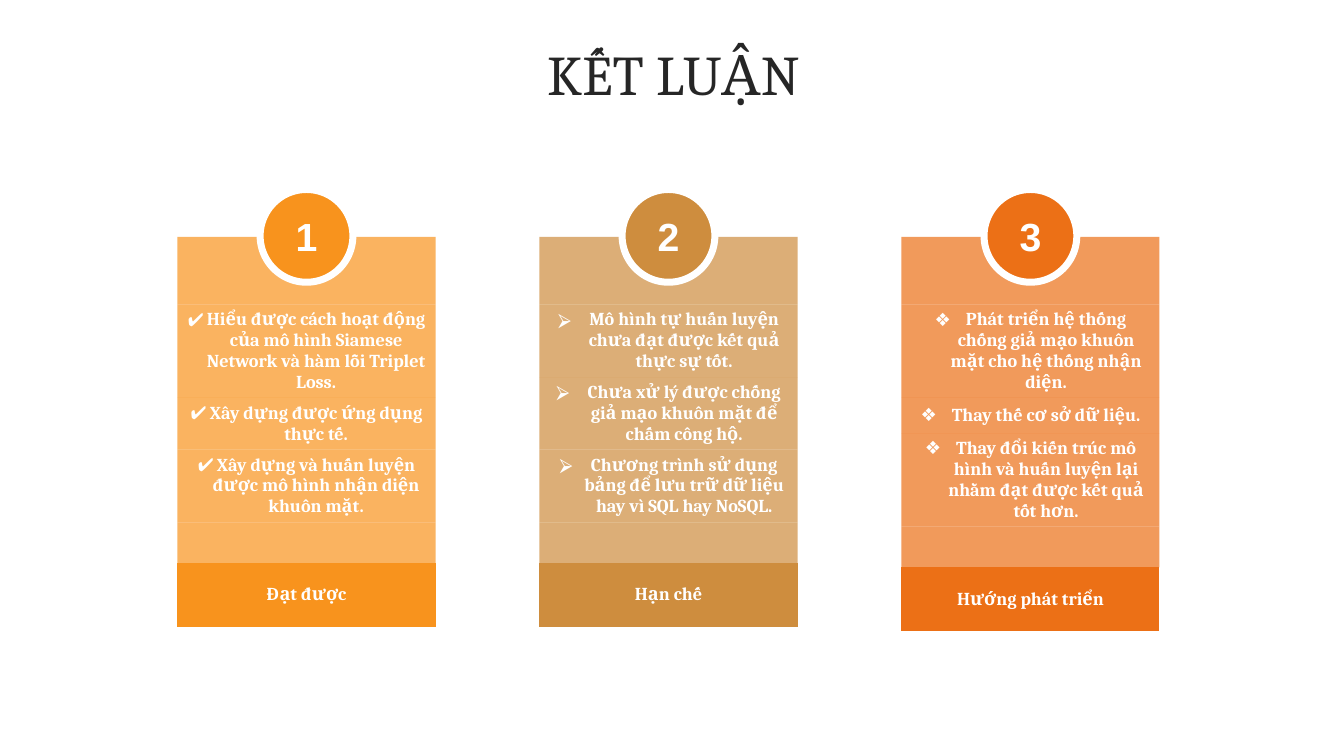
from dataclasses import dataclass

from lxml.etree import SubElement
from pptx import Presentation
from pptx.dml.color import RGBColor
from pptx.enum.shapes import MSO_SHAPE
from pptx.enum.text import MSO_ANCHOR, MSO_AUTO_SIZE, PP_ALIGN
from pptx.oxml.ns import qn
from pptx.util import Inches, Pt


@dataclass(frozen=True)
class Theme:
    """Colours, fonts and type sizes of the slide."""
    white: str = "FFFFFF"
    ink: str = "262626"
    amber: str = "F8931D"
    bronze: str = "CE8D3E"
    orange: str = "EC7016"
    serif: str = "Cambria"
    sans: str = "Arial"
    title_size: int = 40
    number_size: int = 28
    body_size: int = 13
    panel_opacity: int = 70
    no_grid_style: str = "{2D5ABB26-0587-4C30-8999-92F81FD0307C}"


THEME = Theme()

CONCLUSIONS = [
    ("Đạt được", THEME.amber, "✔", 0.19, [
        "Hiểu được cách hoạt động của mô hình Siamese Network và hàm lỗi Triplet Loss.",
        "Xây dựng được ứng dụng thực tế.",
        "Xây dựng và huấn luyện được mô hình nhận diện khuôn mặt.",
    ]),
    ("Hạn chế", THEME.bronze, "⮚", 0.31, [
        "Mô hình tự huấn luyện chưa đạt được kết quả thực sự tốt.",
        "Chưa xử lý được chống giả mạo khuôn mặt để chấm công hộ.",
        "Chương trình sử dụng bảng để lưu trữ dữ liệu hay vì SQL hay NoSQL.",
    ]),
    ("Hướng phát triển", THEME.orange, "❖", 0.31, [
        "Phát triển hệ thống chống giả mạo khuôn mặt cho hệ thống nhận diện.",
        "Thay thế cơ sở dữ liệu.",
        "Thay đổi kiến trúc mô hình và huấn luyện lại nhằm đạt được kết quả tốt hơn.",
    ]),
]


def write_text(frame, text, size=THEME.body_size, font=THEME.serif, color=THEME.white,
               bold=True, line_spacing=None, bullet=None, hanging=0):
    """Write one centred paragraph, with a hanging bullet if one is given."""
    paragraph = frame.paragraphs[0]
    paragraph.alignment = PP_ALIGN.CENTER
    if line_spacing:
        paragraph.line_spacing = line_spacing
    if bullet:
        properties = paragraph._p.get_or_add_pPr()
        properties.set("marL", str(Inches(hanging)))
        properties.set("indent", str(-Inches(hanging)))
        bullet_color = SubElement(properties, qn("a:buClr"))
        SubElement(bullet_color, qn("a:srgbClr"), val=color)
        SubElement(properties, qn("a:buFont"), typeface=THEME.sans)
        SubElement(properties, qn("a:buChar"), char=bullet)
    run = paragraph.add_run()
    run.text = text
    run.font.size = Pt(size)
    run.font.name = font
    run.font.bold = bold
    run.font.color.rgb = RGBColor.from_string(color)


def fill_solid(fill, color, opacity=100):
    """Fill with a colour at the given opacity in percent."""
    fill.solid()
    fill.fore_color.rgb = RGBColor.from_string(color)
    if opacity < 100:
        swatch = next(fill._xPr.iter(qn("a:srgbClr")))
        SubElement(swatch, qn("a:alpha"), val=str(opacity * 1000))


def add_title(slide, text, left, top, width, height):
    """Place the slide title in its box."""
    title = slide.shapes.title
    title.left, title.top = Inches(left), Inches(top)
    title.width, title.height = Inches(width), Inches(height)
    frame = title.text_frame
    frame.word_wrap = True
    frame.auto_size = MSO_AUTO_SIZE.NONE
    frame.vertical_anchor = MSO_ANCHOR.MIDDLE
    write_text(frame, text, size=THEME.title_size, color=THEME.ink, bold=False,
               line_spacing=0.9)


def add_panel(slide, heading, color, bullet, hanging, points, left, top, width):
    """Add the panel table: a blank row, the points, a blank row and the heading."""
    heights = [0.67] + [0.35] * (len(points) + 1) + [0.63]
    table = slide.shapes.add_table(len(heights), 1, Inches(left), Inches(top),
                                   Inches(width), Inches(sum(heights))).table
    table.first_row = table.horz_banding = False
    table._tbl.tblPr.find(qn("a:tableStyleId")).text = THEME.no_grid_style
    table.columns[0].width = Inches(width)
    last = len(heights) - 1
    for index, height in enumerate(heights):
        table.rows[index].height = Inches(height)
        cell = table.cell(index, 0)
        cell.vertical_anchor = MSO_ANCHOR.MIDDLE
        fill_solid(cell.fill, color, 100 if index == last else THEME.panel_opacity)
    for index, point in enumerate(points, 1):
        write_text(table.cell(index, 0).text_frame, point, bullet=bullet, hanging=hanging)
    write_text(table.cell(last, 0).text_frame, heading)


def add_badge(slide, number, color, center_x, center_y, diameter=0.92):
    """Add a numbered circle around the given centre."""
    badge = slide.shapes.add_shape(
        MSO_SHAPE.OVAL, Inches(center_x - diameter / 2), Inches(center_y - diameter / 2),
        Inches(diameter), Inches(diameter))
    badge.shadow.inherit = False
    fill_solid(badge.fill, color)
    badge.line.color.rgb = RGBColor.from_string(THEME.white)
    badge.line.width = Pt(5)
    frame = badge.text_frame
    frame.margin_left = frame.margin_right = frame.margin_top = frame.margin_bottom = 0
    frame.vertical_anchor = MSO_ANCHOR.MIDDLE
    write_text(frame, str(number), size=THEME.number_size, font=THEME.sans)


def add_conclusions(slide, left, top, column_width, pitch):
    """Set the numbered panels side by side at an equal pitch."""
    for index, (heading, color, bullet, hanging, points) in enumerate(CONCLUSIONS):
        panel_left = left + index * pitch
        add_panel(slide, heading, color, bullet, hanging, points,
                  panel_left, top, column_width)
        add_badge(slide, index + 1, color, panel_left + column_width / 2, top - 0.01)


def main():
    """Build the conclusion slide and save it."""
    presentation = Presentation()
    presentation.slide_width, presentation.slide_height = Inches(13.33), Inches(7.5)
    slide = presentation.slides.add_slide(presentation.slide_layouts.get_by_name("Title Only"))
    add_title(slide, "KẾT LUẬN", 0.35, 0.37, 12.66, 0.79)
    add_conclusions(slide, left=1.76, top=2.35, column_width=2.56, pitch=3.59)
    presentation.save("out.pptx")


if __name__ == "__main__":
    main()
